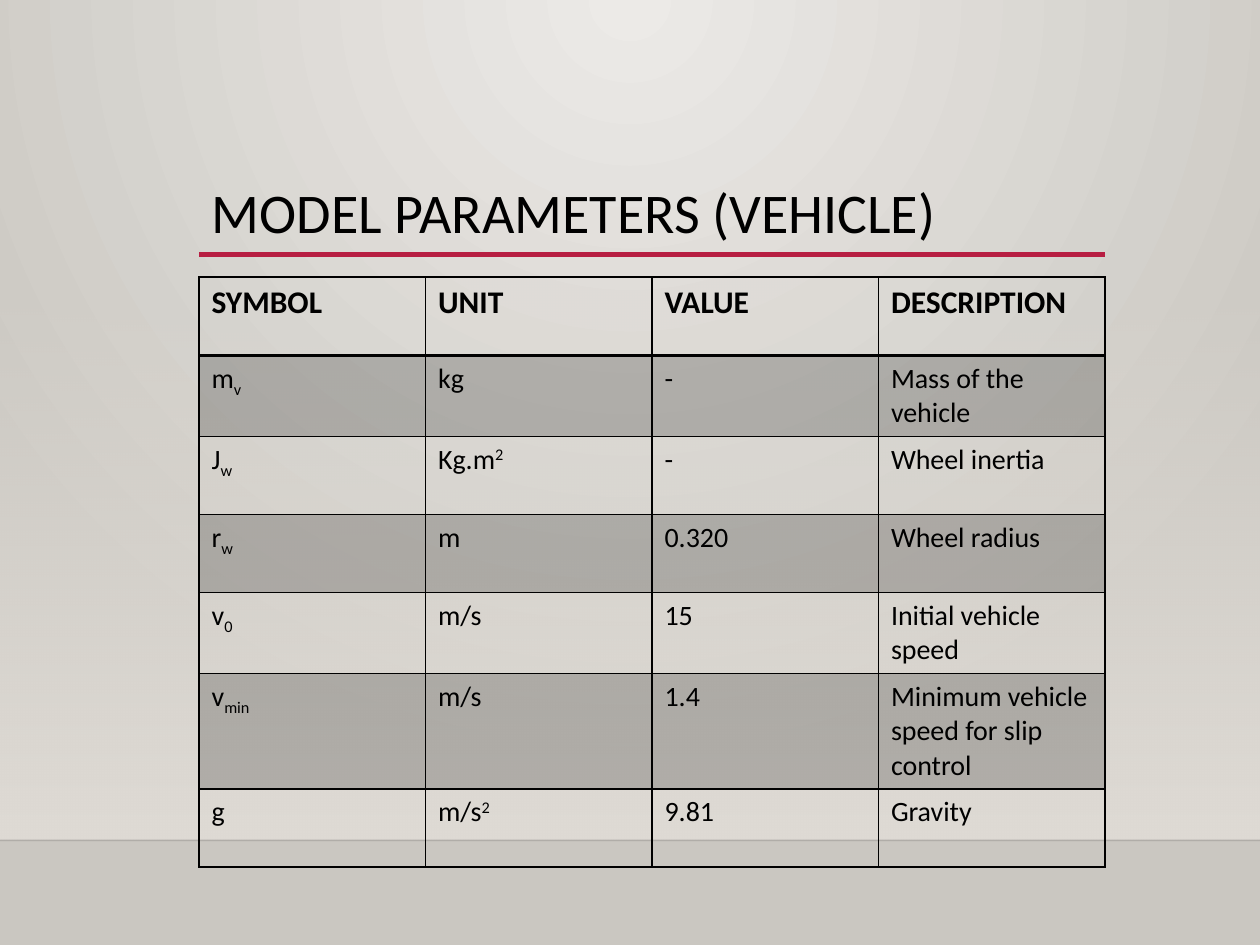
from lxml import etree
from pptx import Presentation
from pptx.dml.color import RGBColor
from pptx.enum.shapes import MSO_CONNECTOR, MSO_SHAPE
from pptx.enum.text import MSO_ANCHOR, PP_ALIGN
from pptx.oxml import parse_xml
from pptx.oxml.ns import nsdecls, qn
from pptx.util import Inches, Pt

COLORS = {"ink": "000000", "accent": "B71E42", "wall": "DFDBD5",
          "glow": "ECEAE7", "edge": "CAC7C1"}
FONT = "Calibri"
TITLE = "MODEL PARAMETERS (VEHICLE)"
HEADER = ["SYMBOL", "UNIT", "VALUE", "DESCRIPTION"]
# "_" starts a subscript and "^" a superscript, up to the end of the text
ROWS = [
    ["m_v", "kg", "-", "Mass of the vehicle"],
    ["J_w", "Kg.m^2", "-", "Wheel inertia"],
    ["r_w", "m", "0.320", "Wheel radius"],
    ["v_0", "m/s", "15", "Initial vehicle speed"],
    ["v_min", "m/s", "1.4", "Minimum vehicle speed for slip control"],
    ["g", "m/s^2", "9.81", "Gravity"],
]
BASELINES = {"_": "-25000", "^": "30000"}
LEFT, WIDTH = 1.58, 7.19
TABLE_TOP, FLOOR = 2.2, 6.67
ROW_HEIGHTS = [0.62] * 5 + [0.71, 0.62]


def rgb(name):
    return RGBColor.from_string(COLORS[name])


def set_gradient(parent, stops, direction):
    """Replace the solid fill of parent; stops are (percent, color, alpha)."""
    gs = "".join(
        f'<a:gs pos="{pos * 1000}"><a:srgbClr val="{COLORS[color]}">'
        f'<a:alpha val="{alpha * 1000}"/></a:srgbClr></a:gs>'
        for pos, color, alpha in stops)
    grad = parse_xml(f'<a:gradFill {nsdecls("a")} rotWithShape="1">'
                     f'<a:gsLst>{gs}</a:gsLst>{direction}</a:gradFill>')
    parent.replace(parent.find(qn("a:solidFill")), grad)


def set_alpha(element, percent):
    for color in element.iter(qn("a:srgbClr")):
        etree.SubElement(color, qn("a:alpha")).set("val", str(percent * 1000))


def add_line(s, x1, x2, y, color, width):
    line = s.shapes.add_connector(MSO_CONNECTOR.STRAIGHT, Inches(x1), Inches(y),
                                  Inches(x2), Inches(y))
    line.line.color.rgb, line.line.width = rgb(color), Pt(width)
    etree.SubElement(line._element.spPr, qn("a:effectLst"))
    return line


def add_run(p, text, size, bold=False):
    r = p.add_run()
    r.text = text
    r.font.color.rgb = rgb("ink")
    for name, value in {"name": FONT, "size": Pt(size), "bold": bold}.items():
        setattr(r.font, name, value)
    return r


def add_marked_text(p, text, size, bold):
    mark = next((m for m in BASELINES if m in text), None)
    base, _, script = text.partition(mark) if mark else (text, "", "")
    add_run(p, base, size, bold)
    if script:
        r = add_run(p, script, size, bold)
        r.font._element.set("baseline", BASELINES[mark])


def set_borders(cell, widths):
    tc_pr = cell._tc.get_or_add_tcPr()
    for side, width in widths.items():
        tc_pr.append(parse_xml(
            f'<a:ln{side} {nsdecls("a")} w="{Pt(width)}"><a:solidFill>'
            f'<a:srgbClr val="{COLORS["ink"]}"/></a:solidFill></a:ln{side}>'))


def add_backdrop(s):
    s.background.fill.solid()
    set_gradient(s.element.find(".//" + qn("p:bgPr")),
                 [(0, "glow", 100), (100, "edge", 100)],
                 '<a:path path="circle"><a:fillToRect l="43000" t="0" '
                 'r="43000" b="100000"/></a:path>')
    wall = s.shapes.add_shape(MSO_SHAPE.RECTANGLE, 0, Inches(TABLE_TOP),
                              Inches(10), Inches(FLOOR - TABLE_TOP))
    wall.shadow.inherit = False
    wall.line.fill.background()
    wall.fill.solid()
    set_gradient(wall._element.spPr, [(0, "wall", 0), (100, "wall", 100)],
                 '<a:lin ang="5400000" scaled="0"/>')
    floor_line = add_line(s, 0, 10, FLOOR, "ink", 1)
    set_alpha(floor_line._element.spPr, 20)
    add_line(s, LEFT, LEFT + WIDTH, 2.02, "accent", 2.5)


def add_title(s):
    title = s.shapes.title
    title.left, title.top = Inches(LEFT), Inches(0.92)
    title.width, title.height = Inches(WIDTH), Inches(1.15)
    tf = title.text_frame
    for name, value in {"word_wrap": True, "vertical_anchor": MSO_ANCHOR.BOTTOM,
                        "margin_bottom": Inches(0.12)}.items():
        setattr(tf, name, value)
    p = tf.paragraphs[0]
    p.alignment, p.line_spacing = PP_ALIGN.LEFT, 0.9
    add_run(p, TITLE, 32)


def add_parameters(s):
    rows = [HEADER] + ROWS
    table = s.shapes.add_table(len(rows), len(HEADER), Inches(LEFT),
                               Inches(TABLE_TOP), Inches(WIDTH),
                               Inches(sum(ROW_HEIGHTS))).table
    table.first_row = table.horz_banding = False
    for col in table.columns:
        col.width = Inches(WIDTH / len(HEADER))
    for i, texts in enumerate(rows):
        table.rows[i].height = Inches(ROW_HEIGHTS[i])
        for j, text in enumerate(texts):
            cell = table.cell(i, j)
            set_borders(cell, {"L": 1, "R": 1, "T": 2 if i == 1 else 1,
                               "B": 2 if i == 0 else 1})
            if i % 2:
                cell.fill.solid()
                cell.fill.fore_color.rgb = rgb("ink")
                set_alpha(cell._tc.tcPr.find(qn("a:solidFill")), 20)
            else:
                cell.fill.background()
            add_marked_text(cell.text_frame.paragraphs[0], text,
                            16 if i else 18, i == 0)


def main():
    prs = Presentation()
    prs.slide_width, prs.slide_height = Inches(10), Inches(7.5)
    s = prs.slides.add_slide(prs.slide_layouts[5])
    add_backdrop(s)
    add_title(s)
    add_parameters(s)
    prs.save("out.pptx")


if __name__ == "__main__":
    main()
